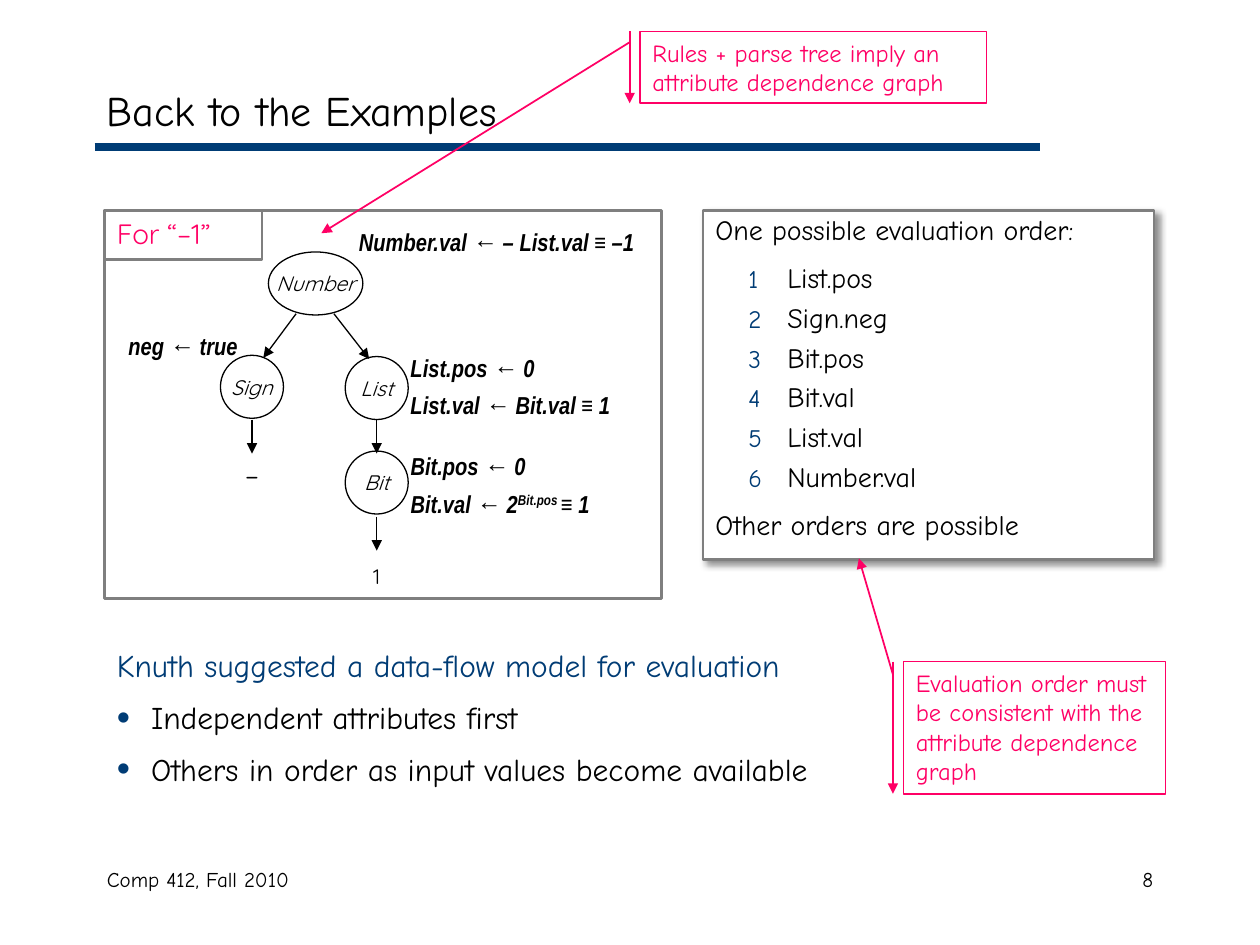
from lxml.etree import SubElement
from pptx import Presentation
from pptx.dml.color import RGBColor
from pptx.enum.shapes import MSO_CONNECTOR, MSO_SHAPE
from pptx.enum.text import MSO_ANCHOR, PP_ALIGN
from pptx.oxml.ns import qn
from pptx.util import Inches, Pt

BLACK, WHITE, GRAY, NAVY, PINK = "000000", "FFFFFF", "7F7F7F", "003C75", "FF0065"
COMIC, QUICK, NARROW = "Comic Neue", "Quicksand", "Arial Narrow"


def rgb(value):
    return RGBColor.from_string(value)


def add_child(parent, tag, **attrs):
    return SubElement(parent, qn(tag), {k: str(v) for k, v in attrs.items()})


def add_run(p, text, size, font, color=BLACK, bold=False, italic=False, baseline=0):
    r = p.add_run()
    r.text = text
    r.font.size, r.font.name = Pt(size), font
    r.font.color.rgb = rgb(color)
    r.font.bold, r.font.italic = bold, italic
    if baseline:
        r._r.get_or_add_rPr().set("baseline", str(baseline * 1000))


def add_paragraph(tf, first=False, before=0, align=PP_ALIGN.LEFT):
    p = tf.paragraphs[0] if first else tf.add_paragraph()
    p.alignment = align
    if before:
        p.space_before = Pt(before)
    return p


def add_bullet(p, margin, hang, size, font, tag, **attrs):
    pPr = p._p.get_or_add_pPr()
    pPr.set("marL", str(Inches(margin)))
    pPr.set("indent", str(-Inches(hang)))
    add_child(add_child(pPr, "a:buClr"), "a:srgbClr", val=NAVY)
    add_child(pPr, "a:buSzPct", val=size * 1000)
    add_child(pPr, "a:buFont", typeface=font)
    add_child(pPr, tag, **attrs)


def add_text_box(s, x, y, w, h):
    tf = s.shapes.add_textbox(Inches(x), Inches(y), Inches(w), Inches(h)).text_frame
    tf.word_wrap = True
    return tf


def add_label(s, x, y, w, h, text, size, font, align=PP_ALIGN.LEFT, **style):
    tf = add_text_box(s, x, y, w, h)
    add_run(add_paragraph(tf, True, align=align), text, size, font, **style)
    return tf


def add_box(s, kind, x, y, w, h, line, width, fill=None):
    sp = s.shapes.add_shape(kind, Inches(x), Inches(y), Inches(w), Inches(h))
    sp.shadow.inherit = False
    if fill:
        sp.fill.solid()
        sp.fill.fore_color.rgb = rgb(fill)
    else:
        sp.fill.background()
    sp.line.color.rgb = rgb(line)
    sp.line.width = Pt(width)
    tf = sp.text_frame
    tf.word_wrap = True
    tf.vertical_anchor = MSO_ANCHOR.TOP
    return sp


def add_arrowhead(sp):
    add_child(sp.line._get_or_add_ln(), "a:tailEnd", type="triangle")


def add_line(s, x1, y1, x2, y2, color=BLACK, width=0.75, arrow=True):
    cx = s.shapes.add_connector(MSO_CONNECTOR.STRAIGHT, Inches(x1), Inches(y1),
                                Inches(x2), Inches(y2))
    cx.line.color.rgb = rgb(color)
    cx.line.width = Pt(width)
    if arrow:
        add_arrowhead(cx)
    add_child(cx._element.spPr, "a:effectLst")


def add_node(s, x, y, w, text):
    sp = add_box(s, MSO_SHAPE.OVAL, x, y, w, 0.5, BLACK, 0.75)
    tf = sp.text_frame
    tf.word_wrap = False
    tf.vertical_anchor = MSO_ANCHOR.MIDDLE
    add_run(add_paragraph(tf, True, align=PP_ALIGN.CENTER), text, 12, QUICK, italic=True)


def add_rules(s, x, y, w, h, *rules):
    """Each rule is a list of (text, baseline) runs."""
    tf = add_text_box(s, x, y, w, h)
    for i, rule in enumerate(rules):
        p = add_paragraph(tf, i == 0, 4.7 if i else 0)
        for text, baseline in rule:
            add_run(p, text, 14, NARROW, bold=True, italic=True, baseline=baseline)


def add_parse_tree(s, x, y, w, h):
    add_box(s, MSO_SHAPE.RECTANGLE, x, y, w, h, GRAY, 1.5, WHITE)
    for dx, dy, width, text in [(1.3, 0.33, 0.75, "Number"), (0.92, 1.15, 0.5, "Sign"),
                                (1.91, 1.16, 0.5, "List"), (1.91, 1.91, 0.5, "Bit")]:
        add_node(s, x + dx, y + dy, width, text)
    for x1, y1, x2, y2 in [(1.52, 0.82, 1.26, 1.17), (1.82, 0.82, 2.1, 1.18),
                           (1.17, 1.66, 1.17, 1.93), (2.16, 1.66, 2.16, 1.93),
                           (2.16, 2.43, 2.16, 2.7)]:
        add_line(s, x + x1, y + y1, x + x2, y + y2)
    add_label(s, x + 0.92, y + 1.91, 0.5, 0.37, "–", 16, QUICK, PP_ALIGN.CENTER)
    add_label(s, x + 1.95, y + 2.75, 0.42, 0.3, "1", 12, QUICK, PP_ALIGN.CENTER)

    add_rules(s, x + 1.92, y + 0.08, 2.5, 0.33, [("Number.val ← – List.val ≡ –1", 0)])
    add_rules(s, x + 0.09, y + 0.91, 1.17, 0.33, [("neg ← true", 0)])
    add_rules(s, x + 2.33, y + 1.08, 2, 0.64,
              [("List.pos ← 0", 0)], [("List.val ← Bit.val ≡ 1", 0)])
    add_rules(s, x + 2.33, y + 1.86, 1.75, 0.64, [("Bit.pos ← 0", 0)],
              [("Bit.val ← 2", 0), ("Bit.pos ", 30), ("≡ 1", 0)])

    tag = add_box(s, MSO_SHAPE.RECTANGLE, x, y, 1.25, 0.39, GRAY, 1.5)
    add_run(add_paragraph(tag.text_frame, True), "For “–1”", 16, QUICK, PINK)


def add_evaluation_order(s, x, y, w, h):
    sp = add_box(s, MSO_SHAPE.RECTANGLE, x, y, w, h, GRAY, 1.5, WHITE)
    effects = sp._element.spPr.find(qn("a:effectLst"))
    shadow = add_child(effects, "a:outerShdw", blurRad=Pt(4), dist=Pt(3),
                       dir=45 * 60000, algn="tl", rotWithShape=0)
    add_child(add_child(shadow, "a:srgbClr", val=BLACK), "a:alpha", val=43000)

    tf = sp.text_frame
    steps = ["List.pos", "Sign.neg", "Bit.pos", "Bit.val", "List.val", "Number.val"]
    lines = ["One possible evaluation order:", *steps, "Other orders are possible"]
    for i, text in enumerate(lines):
        before = 0 if i == 0 else 10 if i in (1, len(lines) - 1) else 5.5
        p = add_paragraph(tf, i == 0, before)
        p.line_spacing = 0.9
        if text in steps:
            p.level = 1
            add_bullet(p, 0.57, 0.31, 90, "Arial", "a:buAutoNum", type="arabicPlain")
        add_run(p, text, 16, COMIC)


def add_summary(s, x, y, w, h):
    tf = add_label(s, x, y, w, h, "Knuth suggested a data-flow model for evaluation",
                   18, COMIC, color=NAVY)
    for text in ["Independent attributes first",
                 "Others in order as input values become available"]:
        p = add_paragraph(tf, before=8)
        add_bullet(p, 0.27, 0.27, 120, "Arial", "a:buChar", char="•")
        add_run(p, text, 18, COMIC)


def add_callout(s, x, y, w, h, text, pointer):
    """pointer holds start y, start x, end y, end x as shares of the box."""
    sp = add_box(s, MSO_SHAPE.LINE_CALLOUT_1_BORDER_AND_ACCENT_BAR, x, y, w, h, PINK, 1)
    for i, value in enumerate(pointer):
        sp.adjustments[i] = value
    add_arrowhead(sp)
    add_run(add_paragraph(sp.text_frame, True), text, 14, COMIC, PINK)


def add_frame(s, x, w):
    """Title, rule and footer, aligned to one left edge and width."""
    add_line(s, x, 1.17, x + 7.5, 1.17, NAVY, 4.5, arrow=False)
    title = add_label(s, x, 0.58, w, 0.58, "Back to the Examples", 24, COMIC)
    title.vertical_anchor = MSO_ANCHOR.MIDDLE
    add_label(s, x, 6.83, 3.17, 0.5, "Comp 412, Fall 2010", 12, COMIC)
    add_label(s, x + w - 2.08, 6.83, 2.08, 0.5, "8", 12, COMIC, PP_ALIGN.RIGHT)


def main():
    prs = Presentation()
    prs.slide_width, prs.slide_height = Inches(10), Inches(7.5)
    s = prs.slides.add_slide(prs.slide_layouts[6])
    add_frame(s, 0.75, 8.5)
    add_parse_tree(s, 0.83, 1.67, 4.42, 3.08)
    add_evaluation_order(s, 5.58, 1.67, 3.58, 2.77)
    add_summary(s, 0.83, 5.08, 6.58, 1.24)
    add_callout(s, 5.08, 0.25, 2.75, 0.57,
                "Rules + parse tree imply an attribute dependence graph",
                (0.15, -0.03, 2.81, -0.92))
    add_callout(s, 7.17, 5.25, 2.08, 1.05,
                "Evaluation order must be consistent with the attribute dependence graph",
                (0.1, -0.04, -0.78, -0.17))
    prs.save("out.pptx")


if __name__ == "__main__":
    main()
